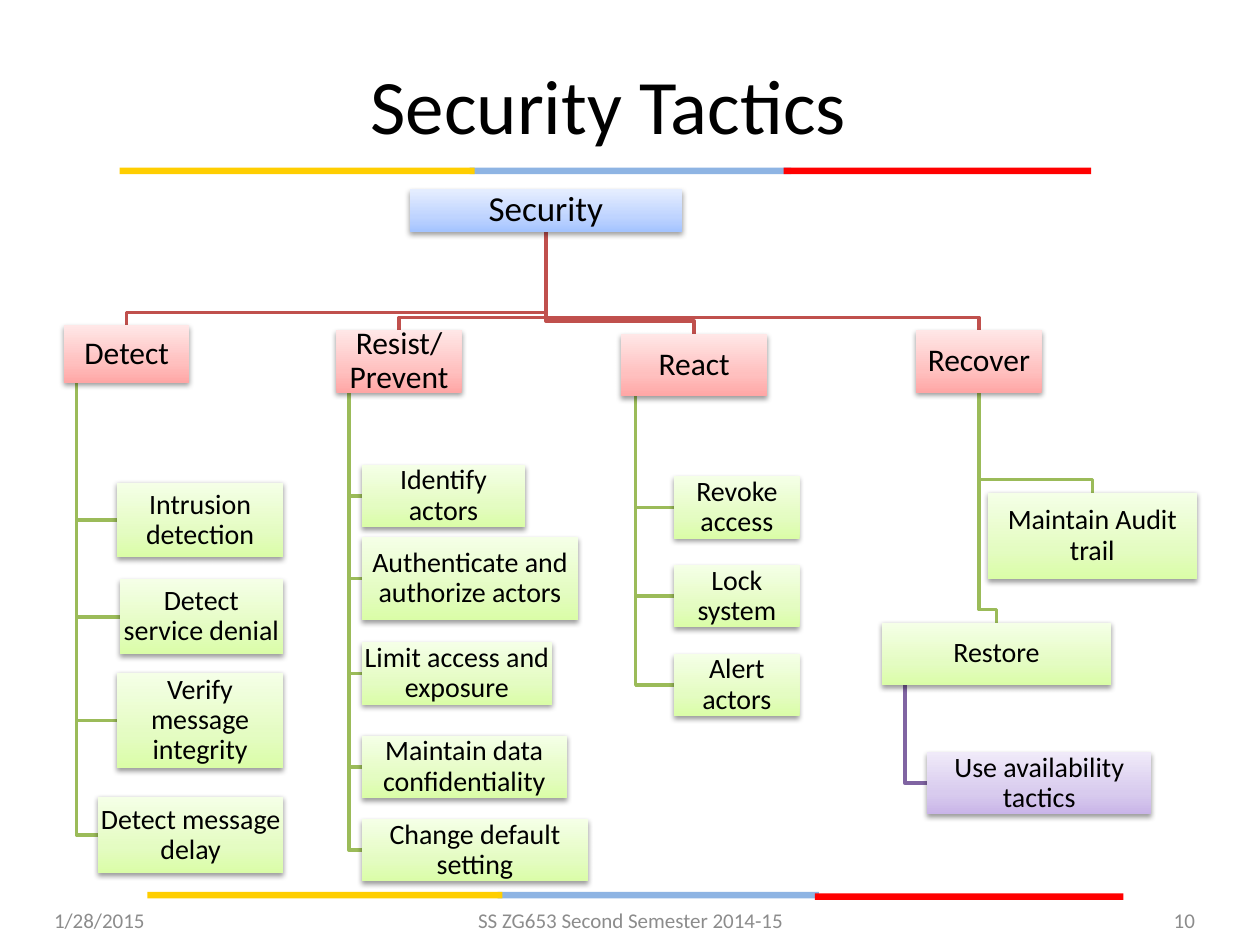
"""Build the Security Tactics slide: a tree of tactics between two coloured rules."""
from copy import deepcopy
from dataclasses import dataclass
from typing import Iterator, NamedTuple

from lxml.etree import SubElement
from pptx import Presentation
from pptx.dml.color import RGBColor as Rgb
from pptx.enum.shapes import MSO_SHAPE as Preset
from pptx.enum.text import MSO_ANCHOR as Anchor, PP_ALIGN as Align
from pptx.oxml.ns import qn
from pptx.shapes.autoshape import Shape
from pptx.shapes.shapetree import SlideShapes
from pptx.text.text import TextFrame
from pptx.util import Cm, Pt


class Level(NamedTuple):
    size: int
    gradient: tuple[str, str, str]
    line: str


@dataclass(frozen=True)
class Theme:
    font: str = "Calibri"
    ink: str = "000000"
    muted: str = "8C8C8C"
    yellow: str = "FFCE00"
    blue: str = "8EB4E3"
    red: str = "FF0000"
    title_size: int = 44
    footer_size: int = 12
    line_width: float = 2
    stops: tuple[float, ...] = (0, 0.35, 1)
    levels: tuple[Level, ...] = (
        Level(20, ("A4C4FF", "BFD4FF", "E6EEFF"), "4F81BD"),
        Level(18, ("FFA6A5", "FFC0BF", "FFE7E7"), "C0504D"),
        Level(16, ("DAFDA7", "E4FCC2", "F5FFE7"), "9BBB59"),
        Level(16, ("C9B5E8", "D8CBEE", "F0EAF9"), "8064A2"),
    )


class Bar(NamedTuple):
    left: float
    top: float
    width: float
    color: str


class Label(NamedTuple):
    text: str
    left: float
    top: float
    width: float
    height: float
    size: int
    color: str
    align: Align


@dataclass(frozen=True)
class Tactic:
    text: str
    left: float
    top: float
    width: float
    height: float = 1.26
    children: tuple["Tactic", ...] = ()
    hanging: bool = True

    @property
    def center(self) -> float:
        return self.left + self.width / 2

    @property
    def middle(self) -> float:
        return self.top + self.height / 2

    @property
    def bottom(self) -> float:
        return self.top + self.height


THEME = Theme()
BAR_HEIGHT = 0.13
BEND_GAP = 0.26
INSET = 0.03

BARS = (
    Bar(9.47, 3.38, 6.48, THEME.blue),
    Bar(15.8, 3.38, 6.2, THEME.red),
    Bar(2.41, 3.38, 7.16, THEME.yellow),
    Bar(10.03, 17.98, 6.48, THEME.blue),
    Bar(16.43, 18.01, 6.22, THEME.red),
    Bar(2.97, 17.98, 7.16, THEME.yellow),
)

FOOTER = (18.03, 5.92, 1.02, THEME.footer_size, THEME.muted)
FOOTER_TOP, SIDE_WIDTH, FOOTER_HEIGHT, *FOOTER_STYLE = FOOTER
LABELS = (
    Label("Security Tactics", 0.84, 0.79, 22.86, 2.62, THEME.title_size, THEME.ink, Align.CENTER),
    Label("1/28/2015", 0.84, FOOTER_TOP, SIDE_WIDTH, FOOTER_HEIGHT, *FOOTER_STYLE, Align.LEFT),
    Label("SS ZG653 Second Semester 2014-15", 8.69, FOOTER_TOP, 8.05, FOOTER_HEIGHT,
          *FOOTER_STYLE, Align.CENTER),
    Label("10", 18.42, FOOTER_TOP, SIDE_WIDTH, FOOTER_HEIGHT, *FOOTER_STYLE, Align.RIGHT),
)

DETECT = Tactic("Detect", 1.29, 6.56, 2.53, 1.16, (
    Tactic("Intrusion detection", 2.36, 9.73, 3.35, 1.51),
    Tactic("Detect service denial", 2.41, 11.68, 3.3, 1.51),
    Tactic("Verify message integrity", 2.36, 13.56, 3.35, 1.93),
    Tactic("Detect message delay", 1.98, 16.06, 3.73, 1.55),
))
RESIST = Tactic("Resist/ Prevent", 6.78, 6.66, 2.53, children=(
    Tactic("Identify actors", 7.29, 9.37, 3.3),
    Tactic("Authenticate and authorize actors", 7.29, 10.82, 4.37, 1.68),
    Tactic("Limit access and exposure", 7.29, 12.95, 3.84),
    Tactic("Maintain data confidentiality", 7.29, 14.83, 4.14),
    Tactic("Change default setting", 7.29, 16.51, 4.57),
))
REACT = Tactic("React", 12.52, 6.73, 2.95, children=tuple(
    Tactic(text, 13.59, 9.6 + 1.79 * row, 2.53)
    for row, text in enumerate(("Revoke access", "Lock system", "Alert actors"))
))
RECOVER = Tactic("Recover", 18.47, 6.66, 2.53, hanging=False, children=(
    Tactic("Maintain Audit trail", 19.91, 9.93, 4.22, 1.75),
    Tactic("Restore", 17.78, 12.55, 4.62, children=(
        Tactic("Use availability tactics", 18.69, 15.16, 4.52),
    )),
))
SECURITY = Tactic("Security", 8.26, 3.81, 5.49, 0.86, (DETECT, RESIST, REACT, RECOVER), False)


def write(frame: TextFrame, text: str, size: int, color: str, align: Align) -> None:
    """Put one styled paragraph in a vertically centred frame."""
    frame.word_wrap = True
    frame.vertical_anchor = Anchor.MIDDLE
    para = frame.paragraphs[0]
    para.text = text
    para.alignment = align
    para.font.name = THEME.font
    para.font.size = Pt(size)
    para.font.color.rgb = Rgb.from_string(color)


def draw_bar(shapes: SlideShapes, bar: Bar) -> None:
    """Draw one segment of a coloured rule."""
    box = shapes.add_shape(Preset.RECTANGLE, Cm(bar.left), Cm(bar.top), Cm(bar.width), Cm(BAR_HEIGHT))
    box.shadow.inherit = False
    box.line.fill.background()
    box.fill.solid()
    box.fill.fore_color.rgb = Rgb.from_string(bar.color)


def draw_label(shapes: SlideShapes, label: Label) -> None:
    """Draw a text box for the title or a footer entry."""
    box = shapes.add_textbox(Cm(label.left), Cm(label.top), Cm(label.width), Cm(label.height))
    write(box.text_frame, label.text, label.size, label.color, label.align)


def add_gradient(box: Shape, colors: tuple[str, ...]) -> None:
    """Fill a box with a three-stop gradient rising from the bottom."""
    box.fill.gradient()
    box.fill.gradient_angle = 90
    stop_list = box._element.spPr.find(qn("a:gradFill")).find(qn("a:gsLst"))
    stop_list.insert(1, deepcopy(stop_list[0]))
    for stop, position, color in zip(box.fill.gradient_stops, THEME.stops, colors):
        stop.position = position
        stop.color.rgb = Rgb.from_string(color)


def add_shadow(box: Shape) -> None:
    """Give a box a soft shadow straight below it."""
    box.shadow.inherit = False
    effects = box._element.spPr.find(qn("a:effectLst"))
    shadow = SubElement(effects, qn("a:outerShdw"), blurRad=str(Pt(3.1)), dist=str(Pt(1.6)),
                        dir="5400000", rotWithShape="0")
    color = SubElement(shadow, qn("a:srgbClr"), val="000000")
    SubElement(color, qn("a:alpha"), val="38000")


def draw_tactic(shapes: SlideShapes, tactic: Tactic, level: Level) -> None:
    """Draw the box of one tactic."""
    box = shapes.add_shape(Preset.RECTANGLE, Cm(tactic.left), Cm(tactic.top),
                           Cm(tactic.width), Cm(tactic.height))
    add_gradient(box, level.gradient)
    box.line.fill.background()
    add_shadow(box)
    frame = box.text_frame
    frame.margin_left = frame.margin_right = frame.margin_top = frame.margin_bottom = Cm(INSET)
    write(frame, tactic.text, level.size, THEME.ink, Align.CENTER)
    frame.paragraphs[0].line_spacing = 0.9


def draw_branch(shapes: SlideShapes, parent: Tactic, child: Tactic, level: Level) -> None:
    """Draw the bent line from a tactic to one of its children."""
    if parent.hanging:
        stem = parent.left + parent.width / 10
        points = [(stem, parent.bottom), (stem, child.middle), (child.left, child.middle)]
    else:
        bend = child.top - BEND_GAP
        points = [(parent.center, parent.bottom), (parent.center, bend),
                  (child.center, bend), (child.center, child.top)]
    start, *rest = [(Cm(x), Cm(y)) for x, y in points]
    builder = shapes.build_freeform(*start)
    builder.add_line_segments(rest, close=False)
    branch = builder.convert_to_shape()
    branch.shadow.inherit = False
    branch.fill.background()
    branch.line.color.rgb = Rgb.from_string(level.line)
    branch.line.width = Pt(THEME.line_width)


def walk(tactic: Tactic, depth: int = 0) -> Iterator[tuple[Tactic, int]]:
    """Yield a tactic and all below it, each with its depth."""
    yield tactic, depth
    for child in tactic.children:
        yield from walk(child, depth + 1)


def main() -> None:
    """Build and save the deck."""
    deck = Presentation()
    deck.slide_width, deck.slide_height = Cm(25.4), Cm(19.05)
    page = deck.slides.add_slide(deck.slide_layouts[6])
    for bar in BARS:
        draw_bar(page.shapes, bar)
    for label in LABELS:
        draw_label(page.shapes, label)
    for tactic, depth in walk(SECURITY):
        for child in tactic.children:
            draw_branch(page.shapes, tactic, child, THEME.levels[depth + 1])
    for tactic, depth in walk(SECURITY):
        draw_tactic(page.shapes, tactic, THEME.levels[depth])
    deck.save("out.pptx")


if __name__ == "__main__":
    main()
